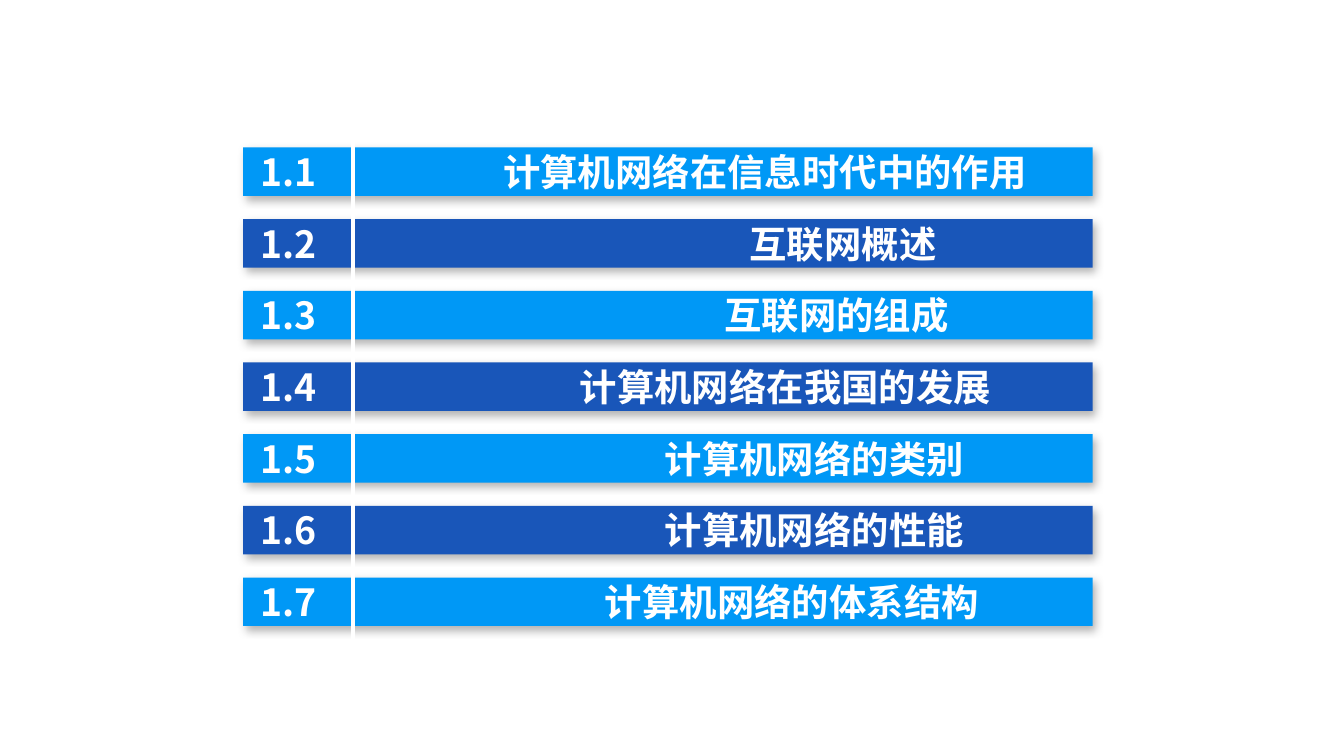
from lxml.etree import SubElement
from pptx import Presentation
from pptx.dml.color import RGBColor
from pptx.enum.shapes import MSO_CONNECTOR as CONNECTOR, MSO_SHAPE as SHAPE
from pptx.oxml import parse_xml
from pptx.oxml.ns import nsdecls, qn
from pptx.util import Pt

WHITE = RGBColor(0xFF, 0xFF, 0xFF)
LIGHT_BLUE = RGBColor(0x00, 0x98, 0xF6)
DARK_BLUE = RGBColor(0x19, 0x56, 0xB9)
FONT = "Noto Sans CJK SC"

LEFT, TOP, WIDTH, HEIGHT = 130.3, 79, 455, 26
PITCH = 38.4
SHADOW = (
    f'<a:effectLst {nsdecls("a")}>'
    f'<a:outerShdw blurRad="{Pt(4.5)}" dist="{Pt(2.6)}" dir="{53 * 60000}" '
    'algn="tl" rotWithShape="0">'
    '<a:srgbClr val="000000"><a:alpha val="30000"/></a:srgbClr>'
    '</a:outerShdw></a:effectLst>'
)

sections = [
    ("1.1", "计算机网络在信息时代中的作用", 130),
    ("1.2", "互联网概述", 262),
    ("1.3", "互联网的组成", 248.5),
    ("1.4", "计算机网络在我国的发展", 171),
    ("1.5", "计算机网络的类别", 216.5),
    ("1.6", "计算机网络的性能", 216.5),
    ("1.7", "计算机网络的体系结构", 184.5),
]

deck = Presentation()
deck.slide_width, deck.slide_height = Pt(720), Pt(405)
agenda = deck.slides.add_slide(deck.slide_layouts[6])

for row in range(len(sections)):
    bar = agenda.shapes.add_shape(
        SHAPE.RECTANGLE, Pt(LEFT), Pt(TOP + row * PITCH), Pt(WIDTH), Pt(HEIGHT))
    bar.fill.solid()
    bar.fill.fore_color.rgb = DARK_BLUE if row % 2 else LIGHT_BLUE
    bar.line.fill.background()
    bar._element.spPr.append(parse_xml(SHADOW))

divider = agenda.shapes.add_connector(
    CONNECTOR.STRAIGHT, Pt(189.3), Pt(65), Pt(189.3), Pt(373))
divider.line.color.rgb = WHITE
divider.line.width = Pt(2.25)
SubElement(divider._element.spPr, qn("a:effectLst"))

for row, (number, topic, topic_indent) in enumerate(sections):
    entry = agenda.shapes.add_textbox(
        Pt(132.5), Pt(TOP - 2.7 + row * PITCH), Pt(WIDTH), Pt(31.5))
    entry.text_frame.word_wrap = True
    line = entry.text_frame.paragraphs[0]
    line.text = f"{number}\t{topic}"
    tabs = SubElement(line._p.get_or_add_pPr(), qn("a:tabLst"))
    SubElement(tabs, qn("a:tab"), pos=str(Pt(topic_indent)), algn="l")
    for run in line.runs:
        run.font.name = FONT
        run.font.size = Pt(20)
        run.font.bold = True
        run.font.color.rgb = WHITE
        SubElement(run._r.get_or_add_rPr(), qn("a:ea"), typeface=FONT)

deck.save("out.pptx")
